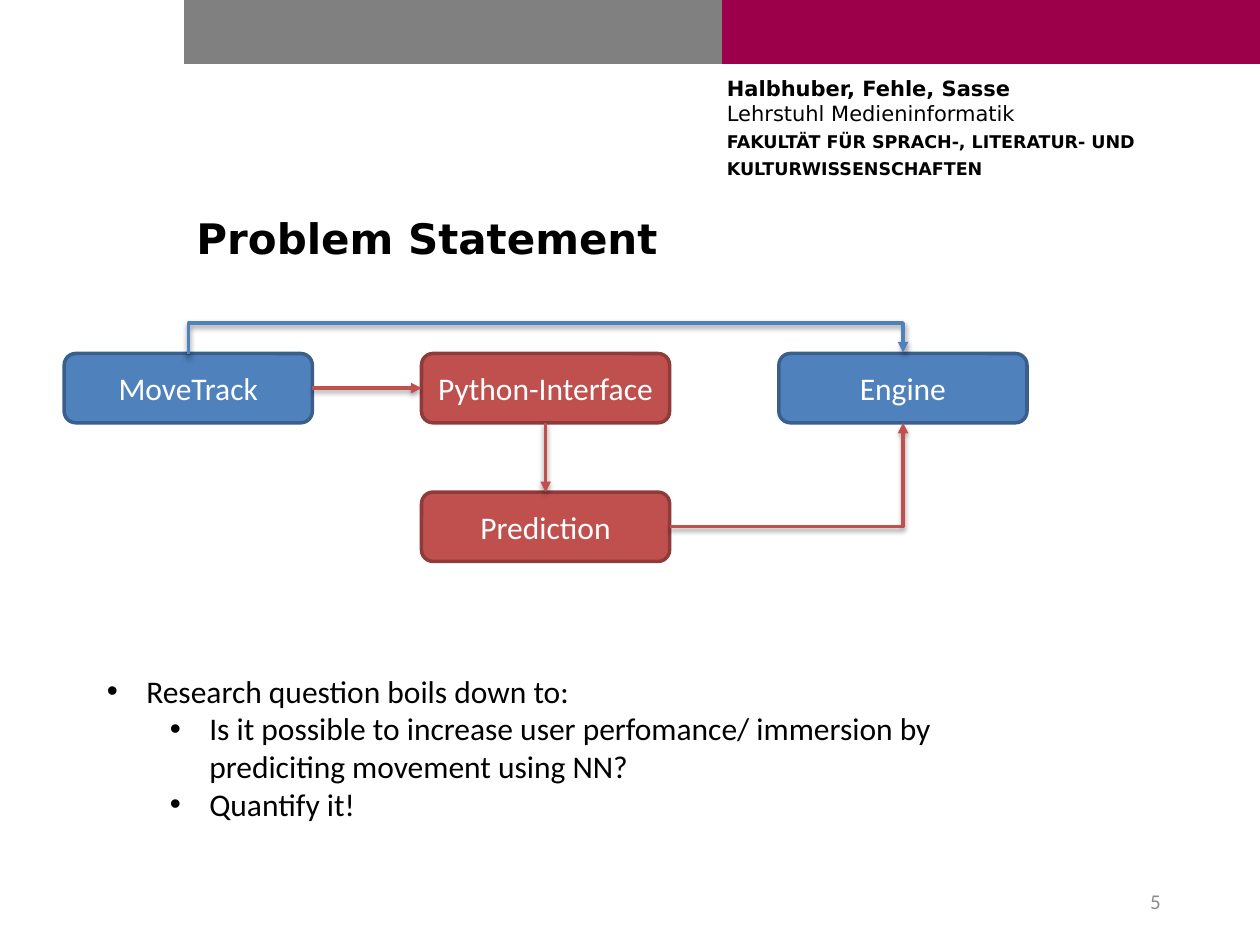
from dataclasses import dataclass

from lxml import etree
from pptx import Presentation
from pptx.dml.color import RGBColor
from pptx.enum.shapes import MSO_CONNECTOR, MSO_SHAPE
from pptx.enum.text import MSO_ANCHOR, PP_ALIGN
from pptx.oxml import parse_xml
from pptx.oxml.ns import qn
from pptx.util import Pt

RECTANGLE, ROUNDED = MSO_SHAPE.RECTANGLE, MSO_SHAPE.ROUNDED_RECTANGLE
STRAIGHT, ELBOW = MSO_CONNECTOR.STRAIGHT, MSO_CONNECTOR.ELBOW
LEFT, CENTER, RIGHT = PP_ALIGN.LEFT, PP_ALIGN.CENTER, PP_ALIGN.RIGHT
TOP, MIDDLE = MSO_ANCHOR.TOP, MSO_ANCHOR.MIDDLE
SITE_TOP, SITE_LEFT, SITE_BOTTOM, SITE_RIGHT = range(4)


@dataclass(frozen=True)
class Theme:
    gray: str = "808080"
    crimson: str = "9C004B"
    blue: str = "4F81BD"
    blue_edge: str = "3A5F8C"
    red: str = "C0504D"
    red_edge: str = "8E3B39"
    black: str = "000000"
    white: str = "FFFFFF"
    muted: str = "8C8C8C"
    heading_font: str = "DejaVu Sans"
    body_font: str = "Calibri"
    title_size: int = 24
    body_size: int = 18
    small_size: int = 12
    faculty_size: int = 10


@dataclass(frozen=True)
class Node:
    label: str
    column: int
    row: int
    fill: str
    edge: str


@dataclass(frozen=True)
class Link:
    start: str
    start_site: int
    end: str
    end_site: int
    color: str
    kind: int = STRAIGHT


THEME = Theme()
NODE_WIDTH, NODE_HEIGHT = 141.8, 39.6
COLUMN_STEP, ROW_STEP = 204.2, 79.2
DIAGRAM_LEFT, DIAGRAM_TOP = 36.7, 202
DETOUR_HEIGHT = 18

NODES = [
    Node("MoveTrack", 0, 0, THEME.blue, THEME.blue_edge),
    Node("Python-Interface", 1, 0, THEME.red, THEME.red_edge),
    Node("Engine", 2, 0, THEME.blue, THEME.blue_edge),
    Node("Prediction", 1, 1, THEME.red, THEME.red_edge),
]
LINKS = [
    Link("MoveTrack", SITE_RIGHT, "Python-Interface", SITE_LEFT, THEME.red),
    Link("Python-Interface", SITE_BOTTOM, "Prediction", SITE_TOP, THEME.red),
    Link("Prediction", SITE_RIGHT, "Engine", SITE_BOTTOM, THEME.red, ELBOW),
    Link("MoveTrack", SITE_TOP, "Engine", SITE_TOP, THEME.blue, ELBOW),
]
SHADOW = (
    '<a:effectLst xmlns:a="http://schemas.openxmlformats.org/drawingml/2006/main">'
    '<a:outerShdw blurRad="39400" dist="20300" dir="5400000" rotWithShape="0">'
    '<a:srgbClr val="000000"><a:alpha val="38000"/></a:srgbClr>'
    "</a:outerShdw></a:effectLst>"
)


def style_run(span, size: float, color: str, font: str, bold: bool = False) -> None:
    span.font.size = Pt(size)
    span.font.name = font
    span.font.bold = bold
    span.font.color.rgb = RGBColor.from_string(color)


def add_text(page, bounds, text: str, size: float, color: str, font: str,
             bold: bool = False, align=LEFT, anchor=TOP):
    box = page.shapes.add_textbox(*map(Pt, bounds))
    frame = box.text_frame
    frame.word_wrap = True
    frame.vertical_anchor = anchor
    frame.text = text
    for para in frame.paragraphs:
        para.alignment = align
        for span in para.runs:
            style_run(span, size, color, font, bold)
    return frame


def add_block(page, kind, bounds, fill: str):
    box = page.shapes.add_shape(kind, *map(Pt, bounds))
    box.shadow.inherit = False
    box.fill.solid()
    box.fill.fore_color.rgb = RGBColor.from_string(fill)
    box.line.fill.background()
    return box


def add_node(page, node: Node):
    left = DIAGRAM_LEFT + node.column * COLUMN_STEP
    top = DIAGRAM_TOP + node.row * ROW_STEP
    box = add_block(page, ROUNDED, (left, top, NODE_WIDTH, NODE_HEIGHT), node.fill)
    box.line.color.rgb = RGBColor.from_string(node.edge)
    box.line.width = Pt(2)
    box.text_frame.text = node.label
    box.text_frame.vertical_anchor = MIDDLE
    para = box.text_frame.paragraphs[0]
    para.alignment = CENTER
    style_run(para.runs[0], THEME.body_size, THEME.white, THEME.body_font)
    return box


def route_over(connector) -> None:
    span, middle, level = connector.width, connector.left + connector.width // 2, connector.top
    depth = Pt(1)
    connector.left, connector.top = middle - depth // 2, level - span // 2
    connector.width, connector.height = depth, span
    frame = connector._element.spPr.find(qn("a:xfrm"))
    for name, value in (("rot", "5400000"), ("flipH", "1"), ("flipV", "1")):
        frame.set(name, value)
    guides = connector._element.spPr.find(qn("a:prstGeom")).find(qn("a:avLst"))
    guide = etree.SubElement(guides, qn("a:gd"))
    guide.set("name", "adj1")
    guide.set("fmla", f"val {DETOUR_HEIGHT * 100000}")


def add_link(page, link: Link, boxes: dict) -> None:
    connector = page.shapes.add_connector(link.kind, 0, 0, 0, 0)
    connector.begin_connect(boxes[link.start], link.start_site)
    connector.end_connect(boxes[link.end], link.end_site)
    connector.line.color.rgb = RGBColor.from_string(link.color)
    connector.line.width = Pt(2)
    properties = connector._element.spPr
    etree.SubElement(properties.find(qn("a:ln")), qn("a:tailEnd")).set("type", "triangle")
    properties.append(parse_xml(SHADOW))
    if link.kind == ELBOW:
        if link.start_site == link.end_site:
            route_over(connector)
        else:
            properties.find(qn("a:prstGeom")).set("prst", "bentConnector2")


def add_bullet(para, level: int) -> None:
    para.level = level
    properties = para._p.get_or_add_pPr()
    properties.set("marL", str(Pt(22.5 + 36 * level)))
    properties.set("indent", str(Pt(-22.5)))
    etree.SubElement(properties, qn("a:buFont")).set("typeface", "Arial")
    etree.SubElement(properties, qn("a:buChar")).set("char", "•")


def add_header(page) -> None:
    for left, fill in ((105.2, THEME.gray), (412.6, THEME.crimson)):
        add_block(page, RECTANGLE, (left, 0, 307.4, 36.5), fill)
    text = ("Halbhuber, Fehle, Sasse\vLehrstuhl Medieninformatik\n"
            "FAKULTÄT FÜR SPRACH-, LITERATUR- UND\nKULTURWISSENSCHAFTEN")
    frame = add_text(page, (415.4, 43.2, 290.9, 67.7), text, THEME.faculty_size,
                     THEME.black, THEME.heading_font, True)
    frame.margin_left = frame.margin_right = frame.margin_top = frame.margin_bottom = 0
    for para in frame.paragraphs:
        para.space_after = Pt(3)
    for span, bold in zip(frame.paragraphs[0].runs, (True, False)):
        style_run(span, THEME.small_size, THEME.black, THEME.heading_font, bold)


def main() -> None:
    deck = Presentation()
    deck.slide_width, deck.slide_height = Pt(720), Pt(540)
    page = deck.slides.add_slide(deck.slide_layouts[6])
    add_header(page)
    add_text(page, (105.2, 118, 566, 54.7), "Problem Statement", THEME.title_size,
             THEME.black, THEME.heading_font, True)
    add_text(page, (508.3, 500.5, 162, 28.8), "5", THEME.small_size,
             THEME.muted, THEME.body_font, align=RIGHT, anchor=MIDDLE)
    boxes = {node.label: add_node(page, node) for node in NODES}
    for link in LINKS:
        add_link(page, link, boxes)
    question = ("Research question boils down to: \n"
                "Is it possible to increase user perfomance/ immersion by "
                "prediciting movement using NN? \nQuantify it!")
    frame = add_text(page, (54, 380.2, 566, 94.3), question, THEME.body_size,
                     THEME.black, THEME.body_font)
    for para, level in zip(frame.paragraphs, (0, 1, 1)):
        add_bullet(para, level)
    deck.save("out.pptx")


main()
